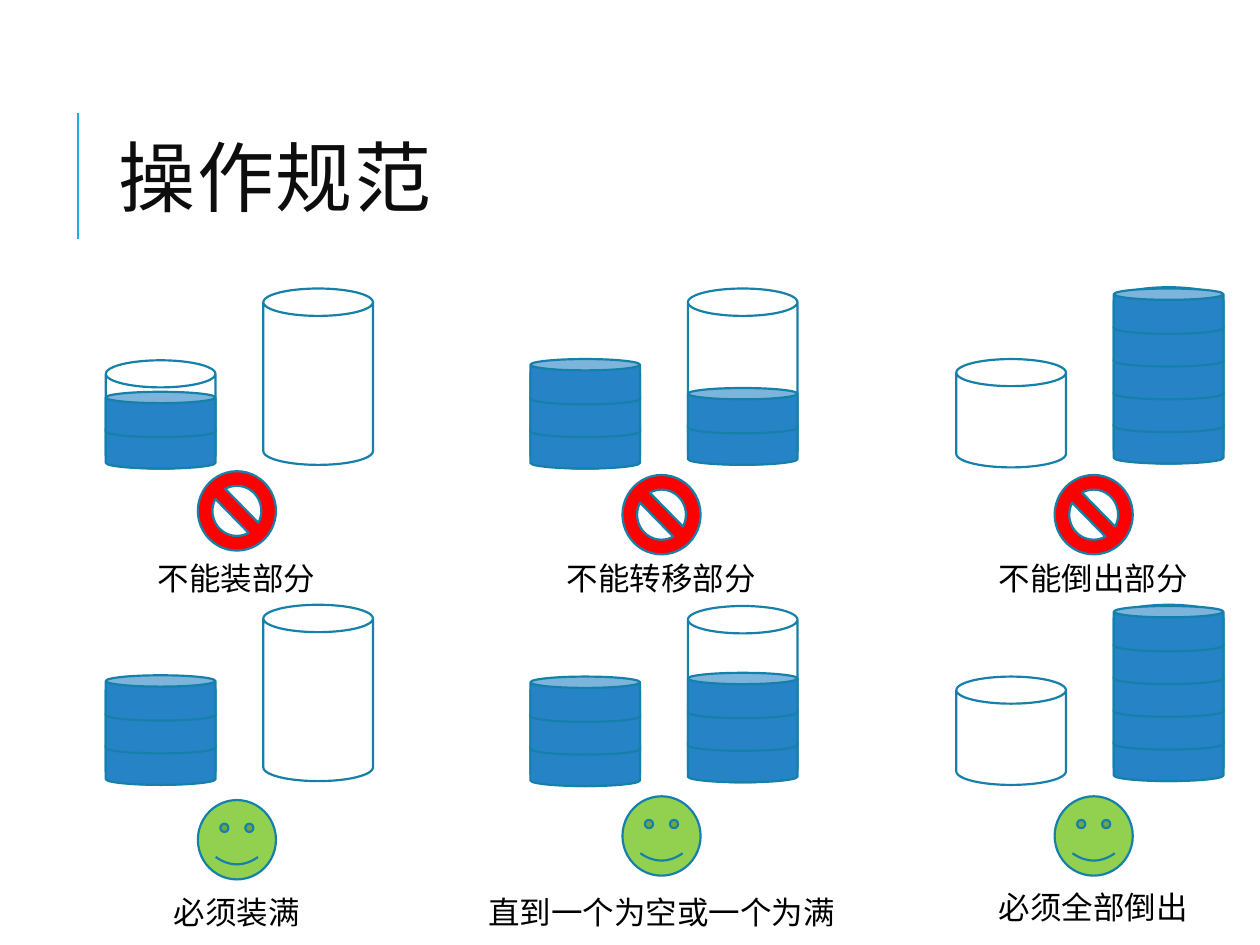
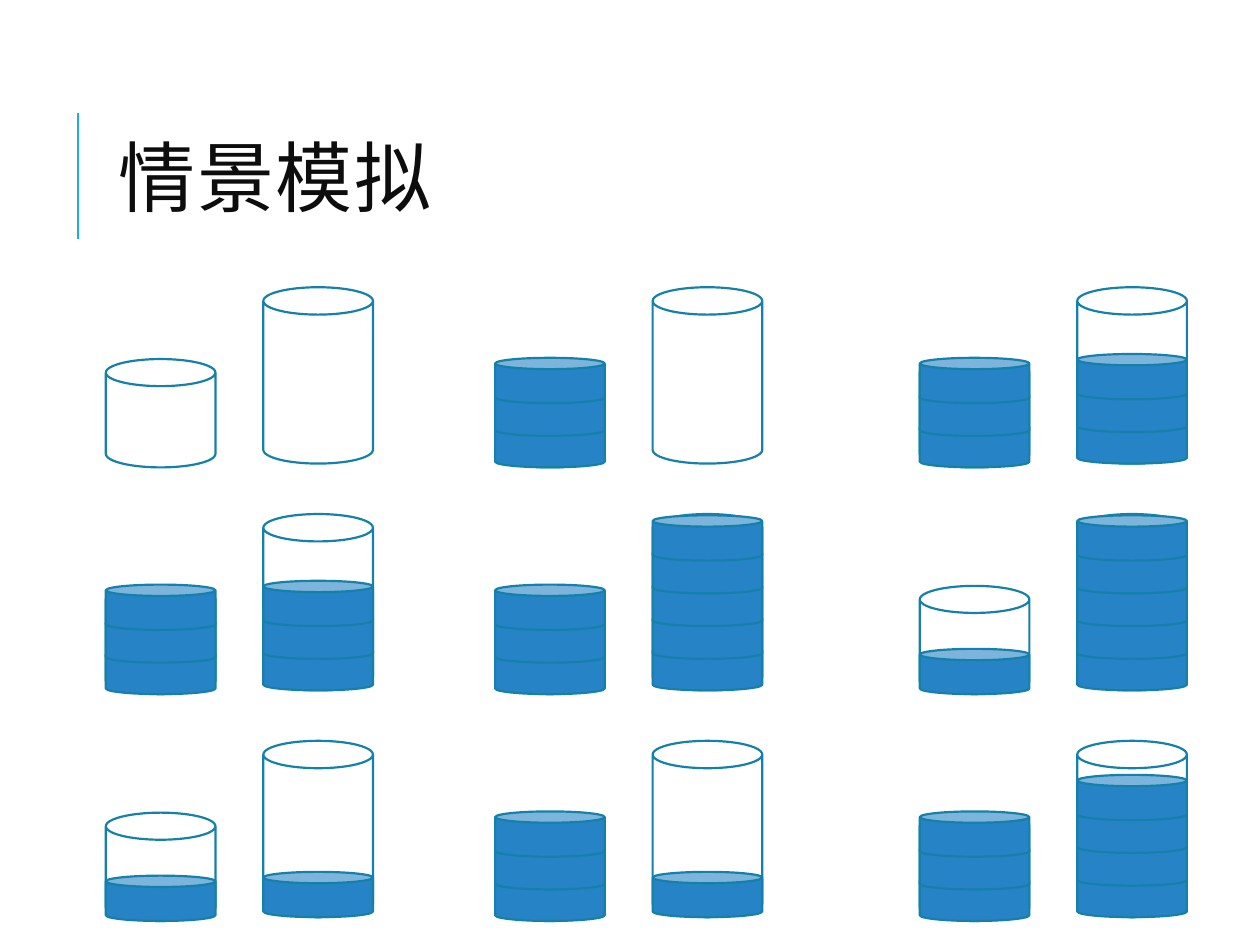
from pptx import Presentation
from pptx.dml.color import RGBColor
from pptx.enum.shapes import MSO_CONNECTOR, MSO_SHAPE
from pptx.enum.text import MSO_ANCHOR, MSO_AUTO_SIZE, PP_ALIGN
from pptx.oxml.ns import qn
from pptx.util import Inches, Pt
from lxml.etree import SubElement

# Shared colours, in hex
ACCENT, OUTLINE, WATER, EMPTY = "1CADE4", "1580A9", "2683C6", "FFFFFF"
TITLE_COLOR, TEXT_COLOR, WRONG, RIGHT = "0D0D0D", "000000", "FF0000", "92D050"

# Shared sizes, in inches
CAN_WIDTH, SMALL_HEIGHT, LARGE_HEIGHT, LAYER_HEIGHT = 0.87, 0.86, 1.4, 0.36
LARGE_SHIFT = 1.25      # large can, right of the small one
SMALL_DROP = 0.57       # small can, below the top of the large one
LAYER_RISES = (0, 0.25, 0.51, 0.77, 1.03)   # each unit of water above the base
MARK_WIDTH, MARK_HEIGHT = 0.62, 0.63

# Rules: left, large top, units in small and large can,
# mark centre, mark top, caption, caption top
RULES_TITLE = "操作规范"
FORBIDDEN = [
    (0.84, 2.29, 2, 0, 1.88, 3.74, "不能装部分", 4.39),
    (4.21, 2.29, 3, 2, 5.25, 3.77, "不能转移部分", 4.39),
    (7.59, 2.28, 0, 5, 8.68, 3.77, "不能倒出部分", 4.39),
]
REQUIRED = [
    (0.84, 4.8, 3, 0, 1.88, 6.35, "必须装满", 7.04),
    (4.21, 4.81, 3, 3, 5.25, 6.32, "直到一个为空或一个为满", 7.04),
    (7.59, 4.8, 0, 5, 8.68, 6.32, "必须全部倒出", 7),
]

# Simulation: units in the small and the large can, row by row
SIMULATION_TITLE = "情景模拟"
STATES = [
    [(0, 0), (3, 0), (3, 3)],
    [(3, 3), (3, 5), (1, 5)],
    [(1, 1), (3, 1), (3, 4)],
]
STATE_LEFTS = (0.84, 3.93, 7.3)
STATE_TOP, STATE_PITCH = 2.28, 1.8


def color(hex_string):
    return RGBColor.from_string(hex_string)


def write(frame, text, size=18, font="Cabin", fill=TEXT_COLOR,
          align=PP_ALIGN.LEFT, line_spacing=None, tracking=None):
    para = frame.paragraphs[0]
    para.alignment = align
    para.line_spacing = line_spacing
    span = para.add_run()
    span.text = text
    span.font.size, span.font.name = Pt(size), font
    span.font.color.rgb = color(fill)
    if tracking:
        span.font._element.set("spc", str(tracking * 100))


def add_page(deck, title):
    page = deck.slides.add_slide(deck.slide_layouts[5])
    bar = page.shapes.add_connector(MSO_CONNECTOR.STRAIGHT, Inches(0.62),
                                    Inches(1.9), Inches(0.62), Inches(0.9))
    bar.line.color.rgb, bar.line.width = color(ACCENT), Pt(1.5)
    SubElement(bar._element.spPr, qn("a:effectLst"))
    box = page.shapes.title
    box.left, box.top = Inches(0.84), Inches(0.64)
    box.width, box.height = Inches(7.97), Inches(1.64)
    box.text_frame.auto_size = MSO_AUTO_SIZE.NONE
    box.text_frame.vertical_anchor = MSO_ANCHOR.MIDDLE
    write(box.text_frame, title, size=44, font="Lato", fill=TITLE_COLOR,
          line_spacing=0.8, tracking=1)
    return page


def add_figure(shapes, kind, left, top, width, height, fill):
    figure = shapes.add_shape(kind, Inches(left), Inches(top),
                              Inches(width), Inches(height))
    figure.shadow.inherit = False
    figure.fill.solid()
    figure.fill.fore_color.rgb = color(fill)
    figure.line.color.rgb, figure.line.width = color(OUTLINE), Pt(1.25)


def add_can_pair(page, left, top, small_units, large_units):
    cans = [(left, top + SMALL_DROP, SMALL_HEIGHT, small_units),
            (left + LARGE_SHIFT, top, LARGE_HEIGHT, large_units)]
    group = page.shapes.add_group_shape()
    for can_left, can_top, height, units in cans:
        add_figure(group.shapes, MSO_SHAPE.CAN, can_left, can_top,
                   CAN_WIDTH, height, EMPTY)
    for can_left, can_top, height, units in cans:
        base = can_top + height - LAYER_HEIGHT
        for rise in LAYER_RISES[:units]:
            add_figure(page.shapes, MSO_SHAPE.CAN, can_left, base - rise,
                       CAN_WIDTH, LAYER_HEIGHT, WATER)


def add_caption(page, text, center, top):
    width = 0.2 + 0.25 * len(text)
    box = page.shapes.add_textbox(Inches(center - width / 2), Inches(top),
                                  Inches(width), Inches(0.4))
    box.text_frame.word_wrap = False
    box.text_frame.auto_size = MSO_AUTO_SIZE.SHAPE_TO_FIT_TEXT
    write(box.text_frame, text)


deck = Presentation()
deck.slide_width, deck.slide_height = Inches(10), Inches(7.5)

# Rules: wrong moves above, right moves below
page = add_page(deck, RULES_TITLE)
for rules, mark, fill in ((FORBIDDEN, MSO_SHAPE.NO_SYMBOL, WRONG),
                          (REQUIRED, MSO_SHAPE.SMILEY_FACE, RIGHT)):
    for left, top, small, large, center, mark_top, text, text_top in rules:
        add_can_pair(page, left, top, small, large)
        add_figure(page.shapes, mark, center - MARK_WIDTH / 2, mark_top,
                   MARK_WIDTH, MARK_HEIGHT, fill)
        add_caption(page, text, center, text_top)

# Simulation: a grid of states
page = add_page(deck, SIMULATION_TITLE)
for row, states in enumerate(STATES):
    for left, (small, large) in zip(STATE_LEFTS, states):
        add_can_pair(page, left, STATE_TOP + row * STATE_PITCH, small, large)

deck.save("out.pptx")
